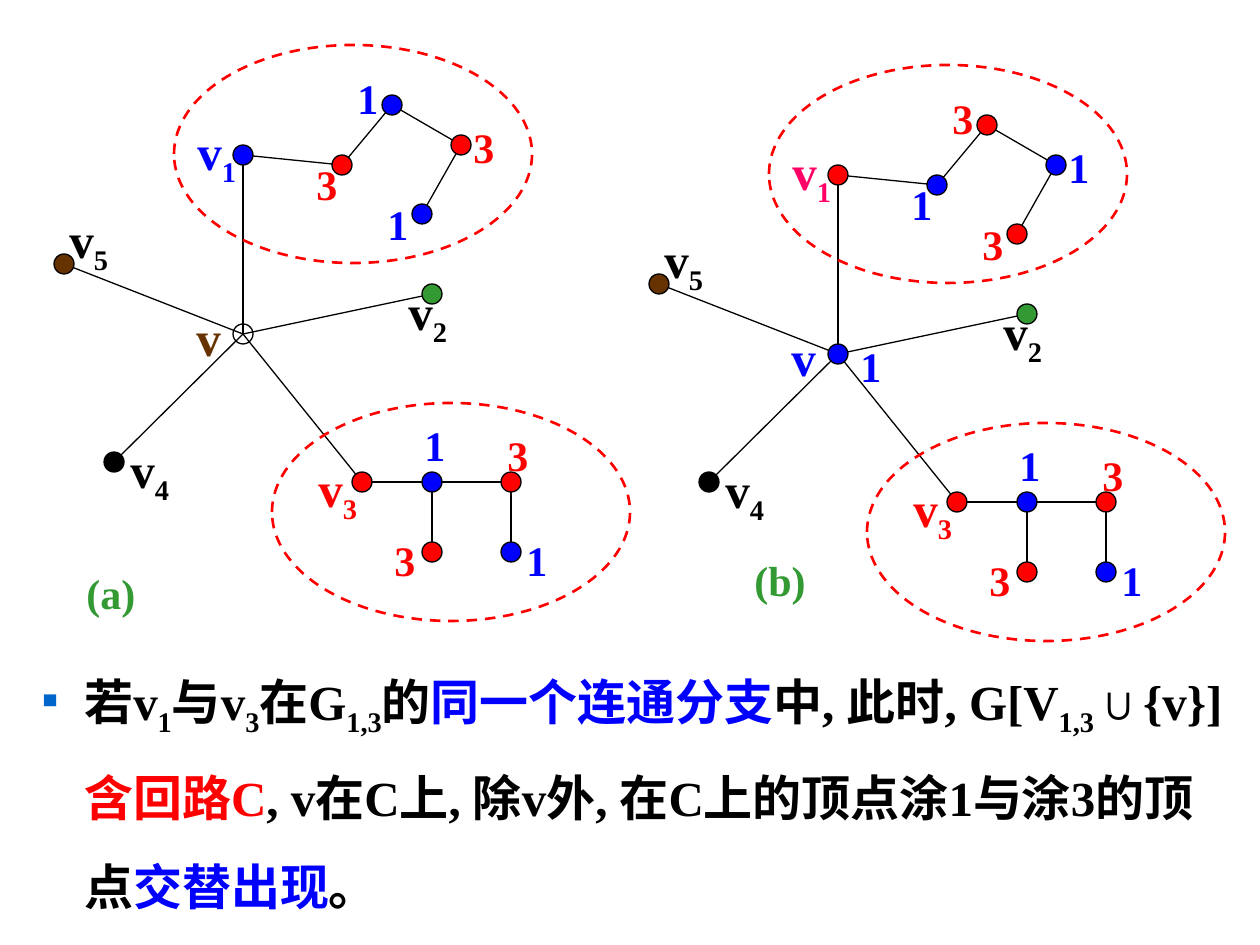
import pptx
import pptx.dml.color
import pptx.enum.dml
import pptx.enum.shapes
import pptx.enum.text
import pptx.oxml
import pptx.oxml.ns
import pptx.util

BLACK = pptx.dml.color.RGBColor(0x00, 0x00, 0x00)
BLUE = pptx.dml.color.RGBColor(0x00, 0x00, 0xFF)
RED = pptx.dml.color.RGBColor(0xFF, 0x00, 0x00)
PINK = pptx.dml.color.RGBColor(0xFF, 0x00, 0x66)
GREEN = pptx.dml.color.RGBColor(0x33, 0x99, 0x33)
BROWN = pptx.dml.color.RGBColor(0x66, 0x33, 0x00)
BULLET_BLUE = pptx.dml.color.RGBColor(0x00, 0x66, 0xCC)
COLOURS = {"1": BLUE, "3": RED}

CENTRES = {
    "v": (243, 334), "v1": (243, 155), "v2": (432, 294),
    "v3": (362, 482), "v4": (114, 462), "v5": (64, 264),
    "a": (342, 165), "b": (392, 105), "c": (461, 145), "d": (422, 214),
    "e": (432, 482), "f": (511, 482), "g": (432, 552), "h": (511, 552),
}
EDGES = [
    ("v", "v1"), ("v", "v2"), ("v", "v3"), ("v", "v4"), ("v", "v5"),
    ("v1", "a"), ("a", "b"), ("b", "c"), ("c", "d"),
    ("v3", "e"), ("e", "f"), ("e", "g"), ("f", "h"),
]
COMPONENTS = [(174, 45, 358, 218), (272, 403, 358, 218)]
NAME_LABELS = {
    "v1": (185, 115), "v2": (396, 275), "v3": (306, 452),
    "v4": (118, 433), "v5": (57, 203),
}
DIGIT_LABELS = {
    "a": (304, 152), "b": (345, 66), "c": (461, 115), "d": (375, 192),
    "e": (412, 413), "f": (495, 423), "g": (382, 528), "h": (514, 528),
}
FIXED_NODES = {"v2": GREEN, "v4": BLACK, "v5": BROWN}
LOWER_DIGITS = {"v3": "3", "e": "1", "f": "3", "g": "3", "h": "1"}
CONCLUSION = [
    ("若v_1_与v_3_在G_1,3_的", BLACK), ("同一个连通分支", BLUE),
    ("中, 此时, G[V_1,3_∪{v}]", BLACK), ("含回路C", RED),
    (", v在C上, 除v外, 在C上的顶点涂1与涂3的顶点", BLACK),
    ("交替出现", BLUE), ("。", BLACK),
]


class Canvas:
    """Draws styled elements on one slide, shifted by a panel offset."""

    font = "Times New Roman"
    scale = 914400 / 126
    node_size = 20

    def __init__(self, slide):
        self.slide = slide
        self.offset = (0, 0)

    def emu(self, length):
        return pptx.util.Emu(round(length * self.scale))

    def place(self, left, top):
        return self.emu(left + self.offset[0]), self.emu(top + self.offset[1])

    def edge(self, start, end):
        connector = self.slide.shapes.add_connector(
            pptx.enum.shapes.MSO_CONNECTOR.STRAIGHT, *self.place(*start), *self.place(*end))
        connector.line.color.rgb = BLACK
        connector.line.width = pptx.util.Pt(0.75)
        properties = connector._element.spPr
        properties.append(properties.makeelement(pptx.oxml.ns.qn("a:effectLst")))

    def ellipse(self, left, top, width, height, line, weight, fill=None):
        shape = self.slide.shapes.add_shape(
            pptx.enum.shapes.MSO_SHAPE.OVAL, *self.place(left, top),
            self.emu(width), self.emu(height))
        shape.shadow.inherit = False
        shape.line.color.rgb = line
        shape.line.width = pptx.util.Pt(weight)
        if fill is None:
            shape.fill.background()
        else:
            shape.fill.solid()
            shape.fill.fore_color.rgb = fill
        return shape

    def node(self, centre, fill):
        size = self.node_size
        self.ellipse(centre[0] - size // 2, centre[1] - size // 2, size, size, BLACK, 0.75, fill)

    def component(self, box):
        shape = self.ellipse(*box, RED, 1.5)
        shape.line.dash_style = pptx.enum.dml.MSO_LINE.DASH

    def runs(self, paragraph, text):
        added = []
        for index, piece in enumerate(text.split("_")):
            if piece:
                run = paragraph.add_run()
                run.text = piece
                if index % 2:
                    run.font._element.set("baseline", "-25000")
                added.append(run)
        return added

    def style(self, paragraph, size):
        paragraph.font.name = self.font
        paragraph.font.size = pptx.util.Pt(size)
        paragraph.font.bold = True

    def label(self, position, text, colour, size=24, width=45, height=63):
        box = self.slide.shapes.add_textbox(
            *self.place(*position), self.emu(width), self.emu(height))
        box.text_frame.word_wrap = False
        paragraph = box.text_frame.paragraphs[0]
        self.style(paragraph, size)
        paragraph.font.color.rgb = colour
        self.runs(paragraph, text)

    def bullet(self, left, top, width, height, segments):
        box = self.slide.shapes.add_textbox(
            *self.place(left, top), self.emu(width), self.emu(height))
        box.text_frame.word_wrap = True
        paragraph = box.text_frame.paragraphs[0]
        properties = paragraph._p.get_or_add_pPr()
        properties.set("marL", str(self.emu(48)))
        properties.set("indent", str(self.emu(-48)))
        namespace = pptx.oxml.ns.nsdecls("a")
        for xml in (f'<a:buClr {namespace}><a:srgbClr val="{BULLET_BLUE}"/></a:buClr>',
                    f'<a:buSzPct {namespace} val="75000"/>',
                    f'<a:buChar {namespace} char="▪"/>'):
            properties.append(pptx.oxml.parse_xml(xml))
        paragraph.line_spacing = 1.5
        self.style(paragraph, 28)
        for text, colour in segments:
            for run in self.runs(paragraph, text):
                run.font.color.rgb = colour


def draw_graph(canvas, offset, upper_digits, centre_fill, centre_colour, v1_colour):
    canvas.offset = offset
    digits = {**upper_digits, **LOWER_DIGITS}
    fills = {**FIXED_NODES, **{name: COLOURS[digit] for name, digit in digits.items()},
             "v": centre_fill}
    for start, end in EDGES:
        canvas.edge(CENTRES[start], CENTRES[end])
    for box in COMPONENTS:
        canvas.component(box)
    for name, centre in CENTRES.items():
        canvas.node(centre, fills[name])
    name_colours = {"v1": v1_colour, "v3": RED}
    for name, position in NAME_LABELS.items():
        canvas.label(position, f"v_{name[1]}_", name_colours.get(name, BLACK), 28, 80, 79)
    canvas.label((184, 301), "v", centre_colour, 28, 49, 72)
    for name, position in DIGIT_LABELS.items():
        canvas.label(position, digits[name], COLOURS[digits[name]])


def main():
    presentation = pptx.Presentation()
    presentation.slide_width = pptx.util.Inches(10)
    presentation.slide_height = pptx.util.Inches(7.5)
    canvas = Canvas(presentation.slides.add_slide(presentation.slide_layouts[6]))

    upper_names = ("v1", "a", "b", "c", "d")
    draw_graph(canvas, (0, 0), dict(zip(upper_names, "13131")), None, BROWN, BLUE)
    draw_graph(canvas, (595, 20), dict(zip(upper_names, "31313")), BLUE, BLUE, PINK)

    canvas.offset = (0, 0)
    canvas.label((848, 334), "1", BLUE)
    canvas.label((74, 561), "(a)", GREEN, width=74)
    canvas.label((742, 548), "(b)", GREEN, width=77)
    canvas.bullet(24, 632, 1211, 313, CONCLUSION)
    presentation.save("out.pptx")


if __name__ == "__main__":
    main()
